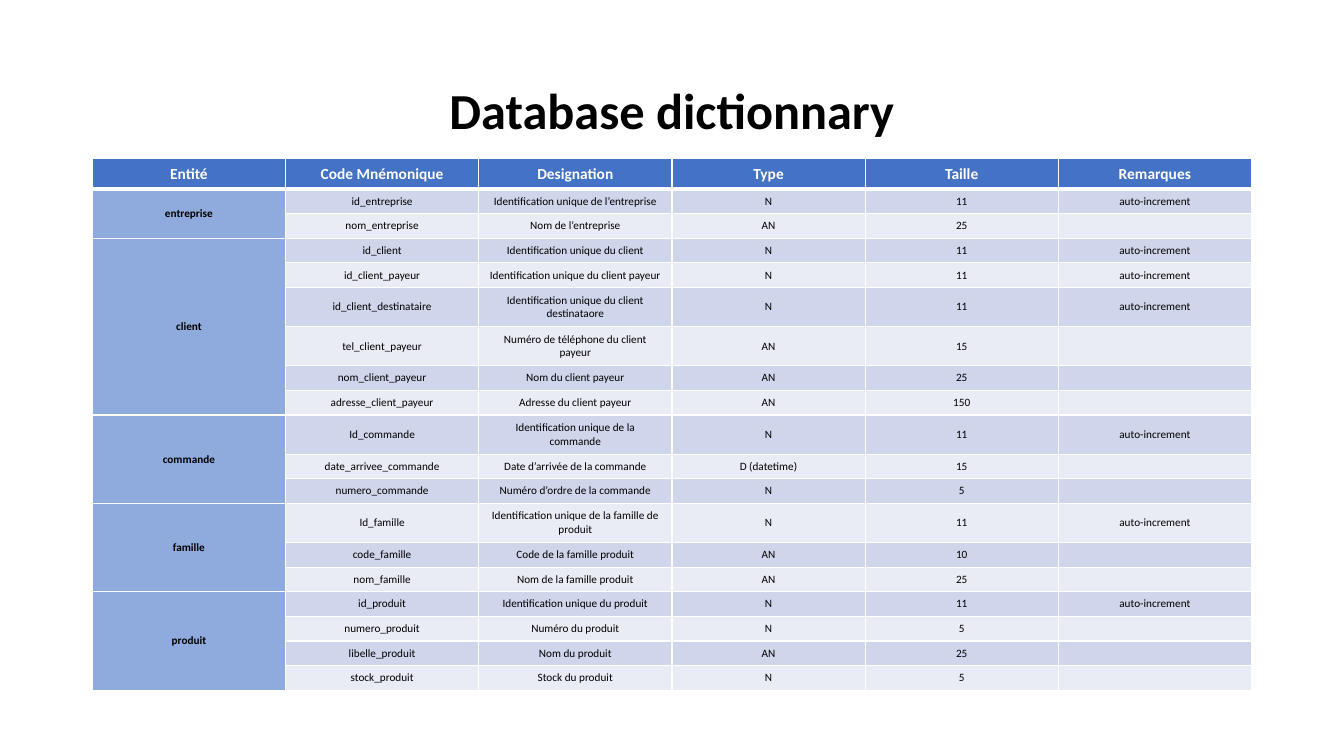
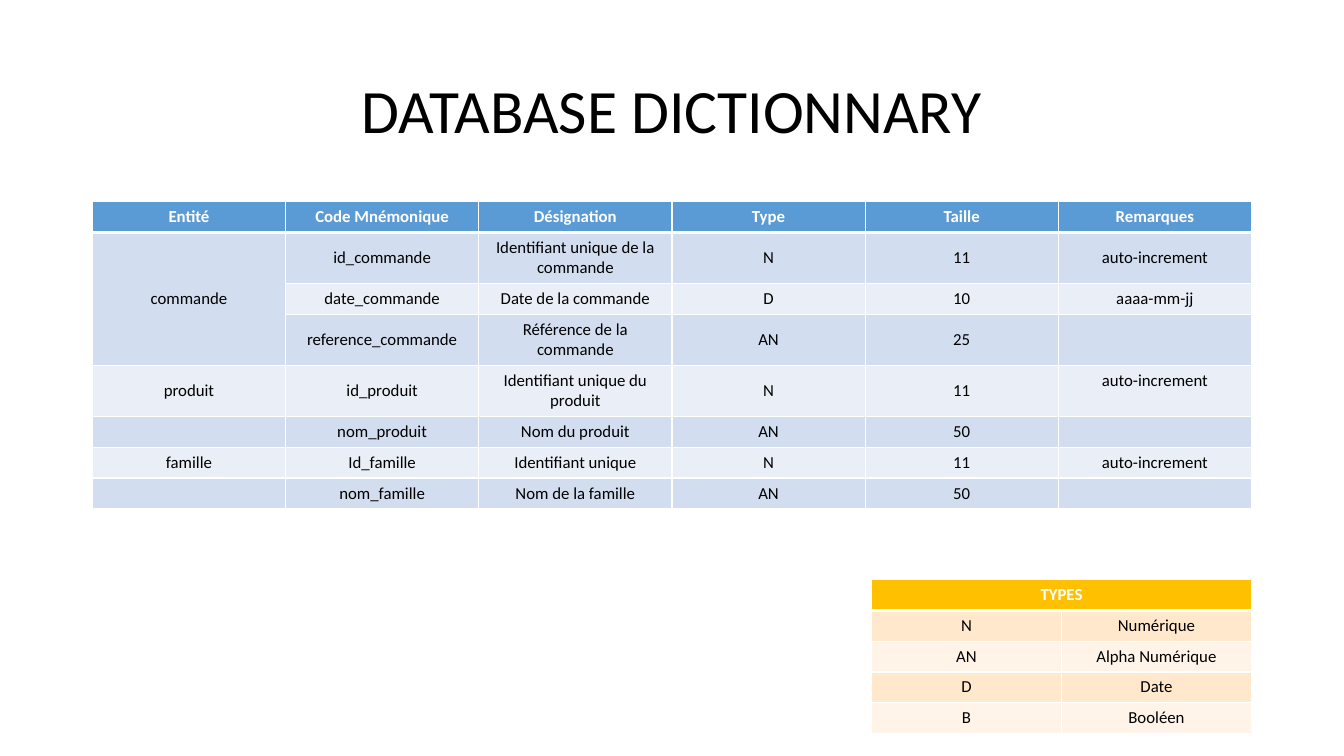
from pptx import Presentation
from pptx.dml.color import RGBColor
from pptx.enum.text import MSO_ANCHOR, PP_ALIGN
from pptx.oxml.ns import qn
from pptx.util import Pt
from lxml import etree

CENTER = PP_ALIGN.CENTER
TOP, MIDDLE = MSO_ANCHOR.TOP, MSO_ANCHOR.MIDDLE
BLANK = 6
FONT = "Calibri"
LEFT, WIDTH = 66, 828
AUTO = "auto-increment"

COLORS = {
    "black": "000000", "white": "FFFFFF",
    "indigo": "4472C4", "indigo_mid": "8FAADC",
    "indigo_band": "CFD5EA", "indigo_pale": "E9EBF5",
    "blue": "5B9BD5", "blue_band": "D2DEEF", "blue_pale": "EAEFF7",
    "gold": "FFC000", "gold_band": "FFE8CC", "gold_pale": "FFF4E7",
}

FULL_STYLE = {
    "head": "indigo", "bands": ("indigo_band", "indigo_pale"),
    "entity": "indigo_mid", "head_size": 11, "size": 8,
    "head_height": 21.6, "height": 17.6, "tall_height": 28, "anchor": MIDDLE,
}
SHORT_STYLE = {
    "head": "blue", "bands": ("blue_band", "blue_pale"),
    "entity": None, "head_size": 12, "size": 12,
    "head_height": 22, "height": 22, "tall_height": 36.5, "anchor": MIDDLE,
}
TYPES_STYLE = {**SHORT_STYLE, "head": "gold", "bands": ("gold_band", "gold_pale"), "anchor": TOP}

FULL_HEAD = ["Entité", "Code Mnémonique", "Designation", "Type", "Taille", "Remarques"]
SHORT_HEAD = ["Entité", "Code Mnémonique", "Désignation", "Type", "Taille", "Remarques"]

FULL_GROUPS = [
    ("entreprise", [
        ("id_entreprise", "Identification unique de l’entreprise", "N", "11", AUTO),
        ("nom_entreprise", "Nom de l’entreprise", "AN", "25", ""),
    ]),
    ("client", [
        ("id_client", "Identification unique du client", "N", "11", AUTO),
        ("id_client_payeur", "Identification unique du client payeur", "N", "11", AUTO),
        ("id_client_destinataire", "Identification unique du client destinataore", "N", "11", AUTO),
        ("tel_client_payeur", "Numéro de téléphone du client payeur", "AN", "15", ""),
        ("nom_client_payeur", "Nom du client payeur", "AN", "25", ""),
        ("adresse_client_payeur", "Adresse du client payeur", "AN", "150", ""),
    ]),
    ("commande", [
        ("Id_commande", "Identification unique de la commande", "N", "11", AUTO),
        ("date_arrivee_commande", "Date d’arrivée de la commande", "D (datetime)", "15", ""),
        ("numero_commande", "Numéro d’ordre de la commande", "N", "5", ""),
    ]),
    ("famille", [
        ("Id_famille", "Identification unique de la famille de produit", "N", "11", AUTO),
        ("code_famille", "Code de la famille produit", "AN", "10", ""),
        ("nom_famille", "Nom de la famille produit", "AN", "25", ""),
    ]),
    ("produit", [
        ("id_produit", "Identification unique du produit", "N", "11", AUTO),
        ("numero_produit", "Numéro du produit", "N", "5", ""),
        ("libelle_produit", "Nom du produit", "AN", "25", ""),
        ("stock_produit", "Stock du produit", "N", "5", ""),
    ]),
]
SHORT_GROUPS = [
    ("commande", [
        ("id_commande", "Identifiant unique de la commande", "N", "11", AUTO),
        ("date_commande", "Date de la commande", "D", "10", "aaaa-mm-jj"),
        ("reference_commande", "Référence de la commande", "AN", "25", ""),
    ]),
    ("produit", [("id_produit", "Identifiant unique du produit", "N", "11", AUTO)]),
    ("", [("nom_produit", "Nom du produit", "AN", "50", "")]),
    ("famille", [("Id_famille", "Identifiant unique", "N", "11", AUTO)]),
    ("", [("nom_famille", "Nom de la famille", "AN", "50", "")]),
]
TYPES_GROUPS = [
    ("N", [("Numérique",)]),
    ("AN", [("Alpha Numérique",)]),
    ("D", [("Date",)]),
    ("B", [("Booléen",)]),
]


def rgb(name):
    return RGBColor.from_string(COLORS[name])


def write(tf, text, size, color="black", bold=False):
    p = tf.paragraphs[0]
    p.alignment = CENTER
    if not text:
        etree.SubElement(p._p, qn("a:endParaRPr"), sz=str(size * 100))
        return p
    r = p.add_run()
    r.text = text
    for key, value in {"name": FONT, "size": Pt(size), "bold": bold}.items():
        setattr(r.font, key, value)
    r.font.color.rgb = rgb(color)
    return p


def add_title(s, text, size, bold=False):
    tf = s.shapes.add_textbox(Pt(LEFT), Pt(28.8), Pt(WIDTH), Pt(104.4)).text_frame
    tf.word_wrap = True
    tf.vertical_anchor = MIDDLE
    write(tf, text, size, bold=bold).line_spacing = 0.9


def set_borders(cell, top=1, bottom=1):
    tc_pr = cell._tc.get_or_add_tcPr()
    for side, width in {"L": 1, "R": 1, "T": top, "B": bottom}.items():
        line = etree.SubElement(tc_pr, qn(f"a:ln{side}"), w=str(Pt(width)))
        fill = etree.SubElement(line, qn("a:solidFill"))
        etree.SubElement(fill, qn("a:srgbClr"), val=COLORS["white"])


def style_cell(cell, text, fill, style, head=False, first=False, bold=False):
    set_borders(cell, top=3 if first else 1, bottom=3 if head else 1)
    cell.fill.solid()
    cell.fill.fore_color.rgb = rgb(fill)
    cell.vertical_anchor = style["anchor"]
    size = style["head_size"] if head else style["size"]
    write(cell.text_frame, text, size, "white" if head else "black", head or bold)


def add_grid(s, left, top, width, head, groups, style, tall=()):
    n_rows = 1 + sum(len(rows) for _, rows in groups)
    n_cols = len(head)
    heights = [style["head_height"]] + [
        style["tall_height"] if i in tall else style["height"] for i in range(1, n_rows)]
    table = s.shapes.add_table(
        n_rows, n_cols, Pt(left), Pt(top), Pt(width), Pt(sum(heights))).table
    for column in table.columns:
        column.width = Pt(width / n_cols)
    for row, height in zip(table.rows, heights):
        row.height = Pt(height)
    for j, text in enumerate(head):
        style_cell(table.cell(0, j), text, style["head"], style, head=True)
    i = 1
    for entity, rows in groups:
        if len(rows) > 1:
            table.cell(i, 0).merge(table.cell(i + len(rows) - 1, 0))
        for k, values in enumerate(rows):
            band = style["bands"][(i - 1) % 2]
            style_cell(table.cell(i, 0), "" if k else entity, style["entity"] or band,
                       style, first=i == 1, bold=bool(style["entity"]))
            for j, text in enumerate(values, 1):
                style_cell(table.cell(i, j), text, band, style, first=i == 1)
            i += 1
    return table


def add_full_dictionary(prs):
    s = prs.slides.add_slide(prs.slide_layouts[BLANK])
    add_title(s, "Database dictionnary", 36, bold=True)
    add_grid(s, LEFT, 113.4, WIDTH, FULL_HEAD, FULL_GROUPS, FULL_STYLE, tall=(5, 6, 9, 12))


def add_short_dictionary(prs):
    s = prs.slides.add_slide(prs.slide_layouts[BLANK])
    add_title(s, "DATABASE DICTIONNARY", 44)
    table = add_grid(s, LEFT, 144, WIDTH, SHORT_HEAD, SHORT_GROUPS, SHORT_STYLE, tall=(1, 3, 4))
    table.cell(4, 5).vertical_anchor = TOP
    types_width = 271.5
    types = add_grid(s, LEFT + WIDTH - types_width, 414, types_width,
                     ["TYPES", ""], TYPES_GROUPS, TYPES_STYLE)
    types.cell(0, 0).merge(types.cell(0, 1))


def main():
    prs = Presentation()
    prs.slide_width, prs.slide_height = Pt(960), Pt(540)
    add_full_dictionary(prs)
    add_short_dictionary(prs)
    prs.save("out.pptx")


if __name__ == "__main__":
    main()
